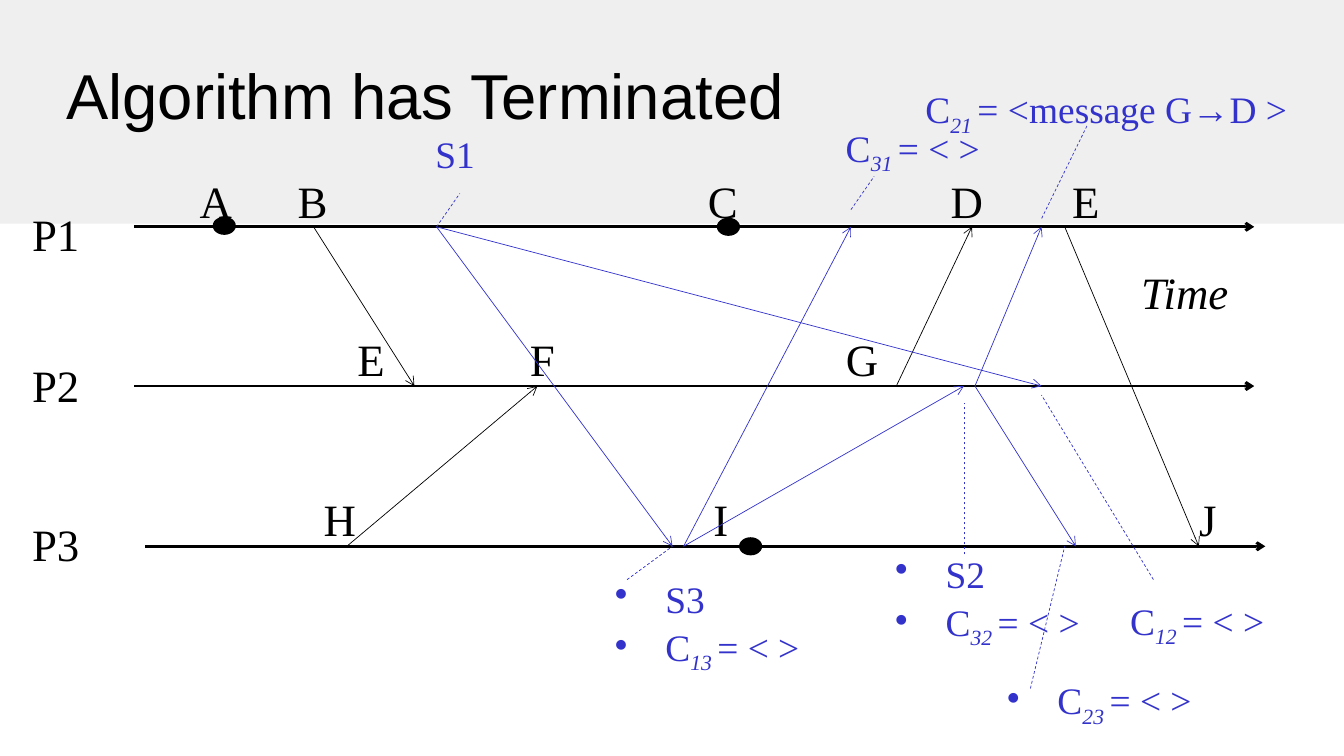
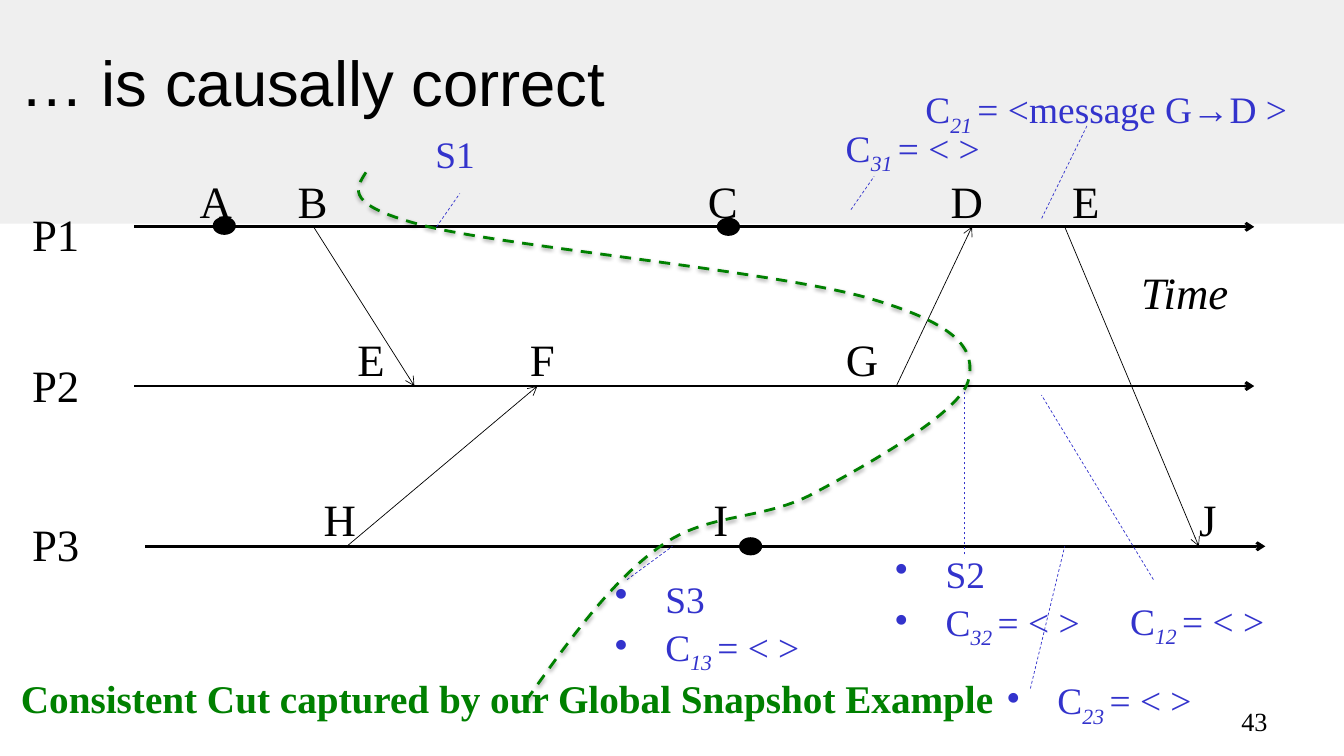
from dataclasses import dataclass
from lxml.etree import SubElement as Sub
from pptx import Presentation
from pptx.dml.color import RGBColor as RGB
from pptx.enum.dml import MSO_LINE_DASH_STYLE as Dash
from pptx.enum.shapes import MSO_CONNECTOR as Conn, MSO_SHAPE as Shape
from pptx.enum.text import MSO_ANCHOR as Anchor, PP_ALIGN as Align
from pptx.oxml.ns import qn
from pptx.util import Inches, Pt


@dataclass(frozen=True)
class Theme:
    black: RGB = RGB(0, 0, 0)
    blue: RGB = RGB(0x33, 0x33, 0xCC)
    green: RGB = RGB(0, 0x80, 0)
    band: RGB = RGB(0xEF, 0xEF, 0xEF)
    thin: float = 0.5
    thick: float = 2


T = Theme()
SERIF = "Times New Roman"
STYLES = {
    "title": (dict(name="Arial", size=Pt(45.3)), T.black),
    "event": (dict(name=SERIF, size=Pt(32)), T.black),
    "time": (dict(name=SERIF, size=Pt(32), italic=True), T.black),
    "state": (dict(name=SERIF, size=Pt(26.7)), T.blue),
    "sub": (dict(name=SERIF, size=Pt(26.7), italic=True), T.blue),
    "claim": (dict(name=SERIF, size=Pt(28), bold=True), T.green),
    "number": (dict(name=SERIF, size=Pt(18.7)), T.black),
}

LANES = {
    "P1": dict(y=2.25, left=1.33, tag=2.0, row=1.67),
    "P2": dict(y=3.83, left=1.33, tag=3.5, row=3.24),
    "P3": dict(y=5.42, left=1.44, tag=5.08, row=4.83),
}
SPAN = 11.11
EVENTS = {
    "P1": [("A", 2.14), ("B", 3.1), ("C", 7.17), ("D", 9.59), ("E", 10.77)],
    "P2": [("E", 3.68), ("F", 5.38), ("G", 8.55)],
    "P3": [("H", 3.37), ("I", 7.15), ("J", 11.98)],
}
DOTS = [(2.22, 2.24), (7.22, 2.25), (7.44, 5.42)]
SENDS = [
    (3.11, "P1", 4.11, "P2"),
    (3.44, "P3", 5.33, "P2"),
    (8.89, "P2", 9.64, "P1"),
    (10.56, "P1", 11.89, "P3"),
]
MARKERS = [
    (4.33, "P1", 10.33, "P2"),
    (4.33, "P1", 6.67, "P3"),
    (6.78, "P3", 8.44, "P1"),
    (6.78, "P3", 9.56, "P2"),
    (9.67, "P2", 10.67, "P3"),
    (9.67, "P2", 10.33, "P1"),
]
EMPTY = "= < >"
STATES = [
    (4.22, 1.25, 0.8, False, [("S1",)]),
    (6, 5.67, 2.2, True, [("S3",), ("C", "13 ", EMPTY)]),
    (8.29, 1.19, 1.7, False, [("C", "31 ", EMPTY)]),
    (8.78, 5.42, 2.2, True, [("S2",), ("C", "32 ", EMPTY)]),
    (11.11, 5.88, 1.7, False, [("C", "12 ", EMPTY)]),
    (9.08, 0.81, 4, False, [("C", "21 ", "= <message G→D >")]),
    (9.89, 6.67, 2.2, True, [("C", "23 ", EMPTY)]),
]
LEADS = [
    (4.33, 2.25, 4.56, 1.92),
    (6.22, 5.75, 6.67, 5.42),
    (8.44, 2.08, 8.67, 1.75),
    (11.44, 5.75, 10.33, 3.92),
    (10.78, 1.25, 10.33, 2.17),
    (10.22, 6.83, 10.56, 5.42),
]
CUT = [
    (3.63, 1.71),
    (3.52, 1.88), (3.41, 2.04), (4.25, 2.25),
    (5.08, 2.45), (7.73, 2.7), (8.62, 2.96),
    (9.51, 3.22), (9.69, 3.47), (9.6, 3.79),
    (9.5, 4.11), (8.57, 4.63), (8.06, 4.9),
    (7.55, 5.17), (7.02, 5.08), (6.55, 5.42),
    (6.08, 5.75), (5.66, 6.33), (5.24, 6.92),
]
SLIDES = [
    dict(title="Algorithm has Terminated", at=(0.56, 0.31, 10.49, 1.25),
         lead=4, markers=MARKERS, cut=False),
    dict(title="… is causally correct", at=(0.11, 0.18, 11.33, 1.25),
         lead=3.83, markers=[], cut=True),
]


def add_run(para, text, style):
    run = para.add_run()
    run.text = text
    values, color = STYLES[style]
    for key, value in values.items():
        setattr(run.font, key, value)
    run.font.color.rgb = color
    return run


def add_text(slide, at, lines, style, align=Align.LEFT, anchor=Anchor.TOP, bullet=False):
    frame = slide.shapes.add_textbox(*map(Inches, at)).text_frame
    frame.word_wrap = True
    frame.vertical_anchor = anchor
    for i, parts in enumerate(lines):
        para = frame.add_paragraph() if i else frame.paragraphs[0]
        para.alignment = align
        if i:
            para.space_before = Pt(2)
        if bullet:
            props = para._p.get_or_add_pPr()
            props.set("marL", str(Inches(0.5)))
            props.set("indent", str(Inches(-0.5)))
            Sub(props, qn("a:buChar")).set("char", "•")
        for j, part in enumerate(parts):
            run = add_run(para, part, "sub" if j % 2 else style)
            if j % 2:
                run._r.get_or_add_rPr().set("baseline", "-25000")


def add_line(slide, ends, color, width, arrow=True):
    line = slide.shapes.add_connector(Conn.STRAIGHT, *map(Inches, ends))
    line.line.color.rgb = color
    line.line.width = Pt(width)
    if arrow:
        Sub(line.line._get_or_add_ln(), qn("a:tailEnd")).set("type", "arrow")
    else:
        line.line.dash_style = Dash.DASH
    Sub(line._element.spPr, qn("a:effectLst"))


def add_sends(slide, sends, color):
    for x1, src, x2, dst in sends:
        add_line(slide, (x1, LANES[src]["y"], x2, LANES[dst]["y"]), color, T.thin)


def add_solid(slide, kind, at, color):
    shape = slide.shapes.add_shape(kind, *map(Inches, at))
    shape.shadow.inherit = False
    shape.fill.solid()
    shape.fill.fore_color.rgb = color
    shape.line.fill.background()


def add_lanes(slide):
    for name, lane in LANES.items():
        y, left = lane["y"], lane["left"]
        add_line(slide, (left, y, left + SPAN, y), T.black, T.thick)
        add_text(slide, (0.22, lane["tag"], 0.8, 0.64), [(name,)], "event")
        for text, x in EVENTS[name]:
            at = (x - 0.3, lane["row"], 0.6, 0.64)
            add_text(slide, at, [(text,)], "event", Align.CENTER)
    for x, y in DOTS:
        add_solid(slide, Shape.OVAL, (x - 0.11, y - 0.09, 0.23, 0.18), T.black)
    add_text(slide, (11.22, 2.58, 1.2, 0.64), [("Time",)], "time")
    add_sends(slide, SENDS, T.black)


def add_states(slide, top):
    for left, y, width, bullet, lines in STATES:
        at = (left, y, width, 0.1 + 0.45 * len(lines))
        add_text(slide, at, lines, "state", bullet=bullet)
    for ends in LEADS + [(9.56, 5.5, 9.56, top)]:
        add_line(slide, ends, T.blue, T.thin, arrow=False)


def add_cut(slide):
    pts = [(Inches(x), Inches(y)) for x, y in CUT]
    form = slide.shapes.build_freeform(*pts[0])
    form.add_line_segments(pts[1:], close=False)
    curve = form.convert_to_shape()
    steps = list(curve._element.iter(qn("a:lnTo")))
    for i in range(0, len(steps), 3):
        bend = Sub(steps[i].getparent(), qn("a:cubicBezTo"))
        for step in steps[i:i + 3]:
            bend.append(step[0])
            step.getparent().remove(step)
    curve.fill.background()
    curve.line.color.rgb = T.green
    curve.line.width = Pt(T.thick)
    curve.line.dash_style = Dash.DASH
    curve.shadow.inherit = False
    glow = Sub(curve._element.spPr.find(qn("a:effectLst")), qn("a:outerShdw"))
    for key, value in dict(blurRad=Pt(3.1), dist=Pt(1.6), dir=90 * 60000, rotWithShape=0).items():
        glow.set(key, str(value))
    tint = Sub(glow, qn("a:srgbClr"))
    tint.set("val", str(T.black))
    Sub(tint, qn("a:alpha")).set("val", "38000")
    claim = "Consistent Cut captured by our Global Snapshot Example"
    add_text(slide, (0.11, 6.64, 10.1, 0.57), [(claim,)], "claim")
    add_text(slide, (9.56, 6.95, 3.11, 0.4), [("43",)], "number", Align.RIGHT)


def main():
    prs = Presentation()
    prs.slide_width, prs.slide_height = Inches(13.33), Inches(7.5)
    for page in SLIDES:
        slide = prs.slides.add_slide(prs.slide_layouts[6])
        add_solid(slide, Shape.RECTANGLE, (0, 0, 13.33, 2.22), T.band)
        add_text(slide, page["at"], [(page["title"],)], "title", anchor=Anchor.MIDDLE)
        add_lanes(slide)
        add_states(slide, page["lead"])
        add_sends(slide, page["markers"], T.blue)
        if page["cut"]:
            add_cut(slide)
    prs.save("out.pptx")


if __name__ == "__main__":
    main()
